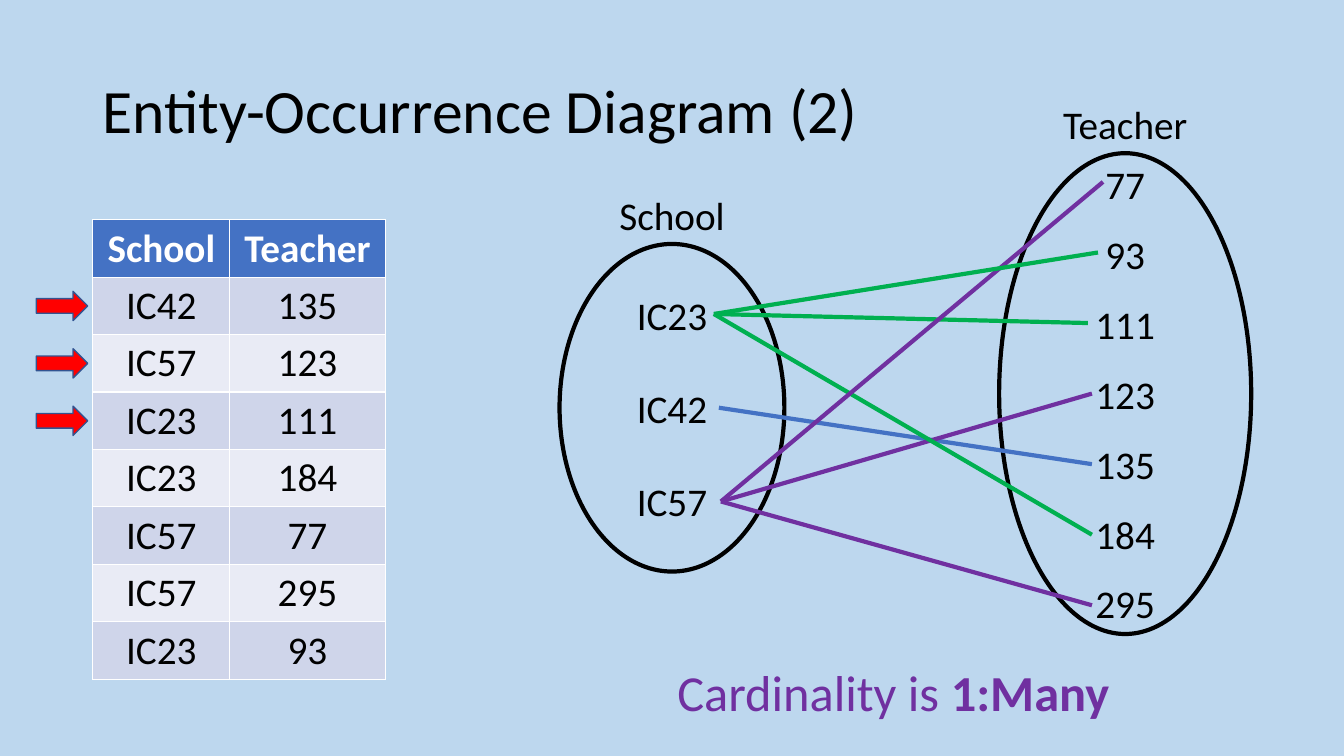
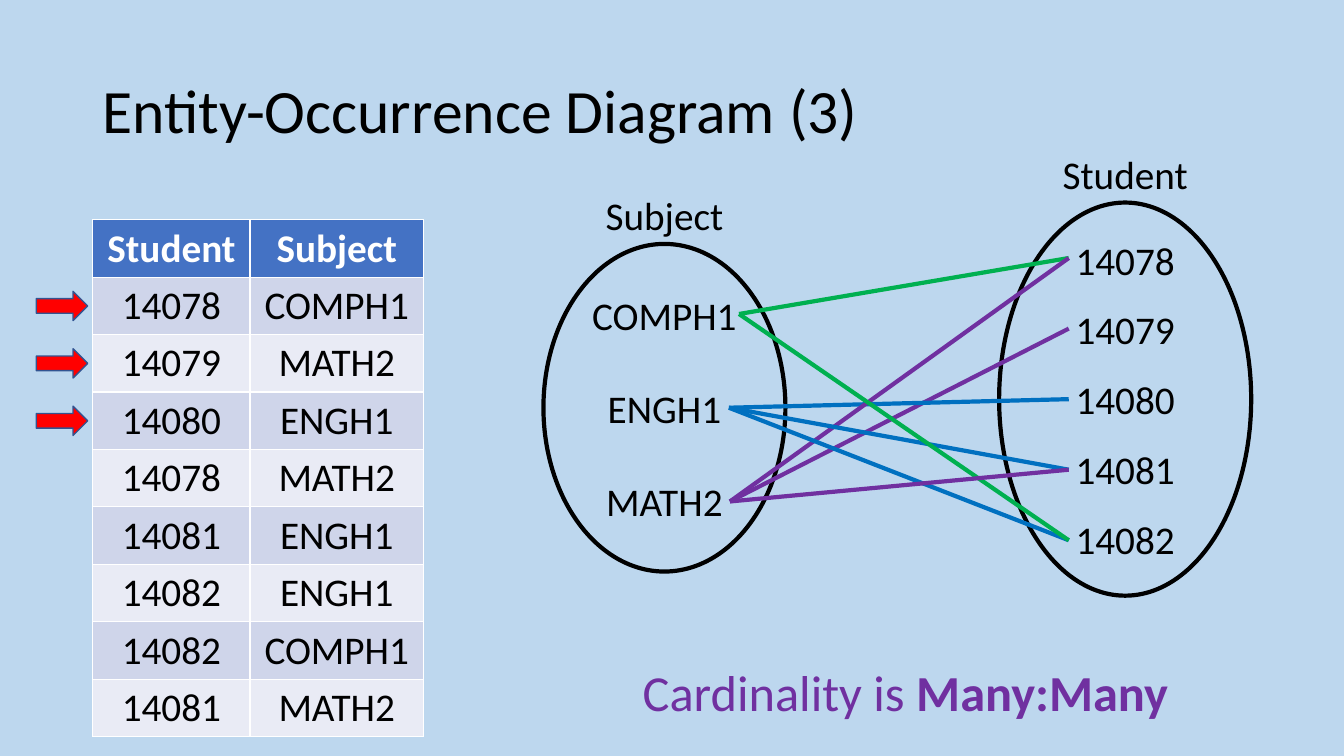
from lxml import etree
from pptx import Presentation
from pptx.dml.color import RGBColor
from pptx.enum import shapes, text
from pptx.oxml.ns import qn
from pptx.util import Inches, Pt

BACKGROUND, BLACK, WHITE = "BDD7EE", "000000", "FFFFFF"
HEADER, BAND_DARK, BAND_LIGHT = "4472C4", "CFD5EA", "E9EBF5"
RED, ARROW_EDGE = "FF0000", "325491"
PURPLE, GREEN, BLUE = "7030A0", "00B050", "0070C0"
LABEL_H = 0.57
ROW_H = 0.57

# Sets are (label, ellipse box, item pitch, space between items in points,
# {item: x of its link ends}); every table row is one link between the sets.
SLIDES = [
    dict(
        title="Entity-Occurrence Diagram (2)",
        columns=[("School", 1.36), ("Teacher", 1.54)],
        rows=[("IC42", "135"), ("IC57", "123"), ("IC23", "111"), ("IC23", "184"),
              ("IC57", "77"), ("IC57", "295"), ("IC23", "93")],
        sets=[
            ("School", (5.55, 2.42, 2.23, 3.25), 0.93, 33,
             {"IC23": 7.08, "IC42": 7.13, "IC57": 7.15}),
            ("Teacher", (9.91, 1.52, 2.5, 4.77), 0.7, 16.3,
             {"77": 10.94, "93": 10.89, "111": 10.79, "123": 10.83,
              "135": 10.83, "184": 10.83, "295": 10.83}),
        ],
        colours={"IC23": GREEN, "IC42": HEADER, "IC57": PURPLE},
        cardinality="1:Many", cardinality_x=8.86,
    ),
    dict(
        title="Entity-Occurrence Diagram (3)",
        columns=[("Student", 1.56), ("Subject", 1.72)],
        rows=[("14078", "COMPH1"), ("14079", "MATH2"), ("14080", "ENGH1"),
              ("14078", "MATH2"), ("14081", "ENGH1"), ("14082", "ENGH1"),
              ("14082", "COMPH1"), ("14081", "MATH2")],
        sets=[
            ("Subject", (5.39, 2.42, 2.4, 3.25), 0.93, 33,
             {"COMPH1": 7.33, "ENGH1": 7.23, "MATH2": 7.24}),
            ("Student", (9.91, 2.01, 2.5, 3.9), 0.7, 16.3,
             {"14078": 10.6, "14079": 10.6, "14080": 10.6,
              "14081": 10.6, "14082": 10.6}),
        ],
        colours={"COMPH1": GREEN, "ENGH1": BLUE, "MATH2": PURPLE},
        cardinality="Many:Many", cardinality_x=8.98,
    ),
]


def rgb(colour):
    return RGBColor.from_string(colour)


def add_run(p, words, size=28, colour=BLACK, bold=False, align=text.PP_ALIGN.CENTER):
    p.alignment = align
    r = p.add_run()
    r.text = words
    r.font.name, r.font.size, r.font.bold = "Calibri", Pt(size), bold
    r.font.color.rgb = rgb(colour)


prs = Presentation()
prs.slide_width, prs.slide_height = Inches(13.33), Inches(7.5)
fill = prs.slide_master.background.fill
fill.solid()
fill.fore_color.rgb = rgb(BACKGROUND)

for content in SLIDES:
    s = prs.slides.add_slide(prs.slide_layouts[6])

    tf = s.shapes.add_textbox(Inches(0.92), Inches(0.4), Inches(11.5), Inches(1.45)).text_frame
    tf.word_wrap = True
    tf.vertical_anchor = text.MSO_ANCHOR.MIDDLE
    tf.paragraphs[0].line_spacing = 0.9
    add_run(tf.paragraphs[0], content["title"], 44, align=text.PP_ALIGN.LEFT)

    columns = content["columns"]
    lines = [[name for name, _ in columns], *content["rows"]]
    table = s.shapes.add_table(
        len(lines), len(columns), Inches(0.92), Inches(2.18),
        Inches(sum(w for _, w in columns)), Inches(ROW_H * len(lines))).table
    for column, (_, width) in zip(table.columns, columns):
        column.width = Inches(width)
    for i, line in enumerate(lines):
        band = HEADER if i == 0 else BAND_DARK if i % 2 else BAND_LIGHT
        for j, value in enumerate(line):
            cell = table.cell(i, j)
            cell.fill.solid()
            cell.fill.fore_color.rgb = rgb(band)
            cell.vertical_anchor = text.MSO_ANCHOR.MIDDLE
            add_run(cell.text_frame.paragraphs[0], value,
                    colour=BLACK if i else WHITE, bold=i == 0)

    ends = {}
    for label, (x, y, w, h), pitch, gap, items in content["sets"]:
        oval = s.shapes.add_shape(shapes.MSO_SHAPE.OVAL, Inches(x), Inches(y),
                                  Inches(w), Inches(h))
        oval.shadow.inherit = False
        oval.fill.background()
        oval.line.color.rgb = rgb(BLACK)
        oval.line.width = Pt(3)
        tf = oval.text_frame
        tf.vertical_anchor = text.MSO_ANCHOR.MIDDLE
        for i, (item, end_x) in enumerate(items.items()):
            p = tf.add_paragraph() if i else tf.paragraphs[0]
            if i:
                p.space_before = Pt(gap)
            add_run(p, item)
            ends[item] = end_x, y + h / 2 + (i - (len(items) - 1) / 2) * pitch

        tf = s.shapes.add_textbox(Inches(x), Inches(y - LABEL_H),
                                  Inches(w), Inches(LABEL_H)).text_frame
        tf.word_wrap = True
        add_run(tf.paragraphs[0], label)

    for row in content["rows"]:
        start, end = sorted(row, key=lambda item: ends[item][0])
        link = s.shapes.add_connector(
            shapes.MSO_CONNECTOR.STRAIGHT, *map(Inches, ends[start] + ends[end]))
        link.line.color.rgb = rgb(content["colours"][start])
        link.line.width = Pt(3)
        etree.SubElement(link._element.spPr, qn("a:effectLst"))

    for i in range(3):
        arrow = s.shapes.add_shape(shapes.MSO_SHAPE.RIGHT_ARROW, Inches(0.36),
                                   Inches(2.89 + i * ROW_H), Inches(0.51), Inches(0.29))
        arrow.shadow.inherit = False
        arrow.fill.solid()
        arrow.fill.fore_color.rgb = rgb(RED)
        arrow.line.color.rgb = rgb(ARROW_EDGE)
        arrow.line.width = Pt(1)

    tf = s.shapes.add_textbox(Inches(content["cardinality_x"] - 2.8), Inches(6.51),
                              Inches(5.6), Inches(0.71)).text_frame
    tf.word_wrap = True
    add_run(tf.paragraphs[0], "Cardinality is ", 36, PURPLE)
    add_run(tf.paragraphs[0], content["cardinality"], 36, PURPLE, bold=True)

prs.save("out.pptx")
